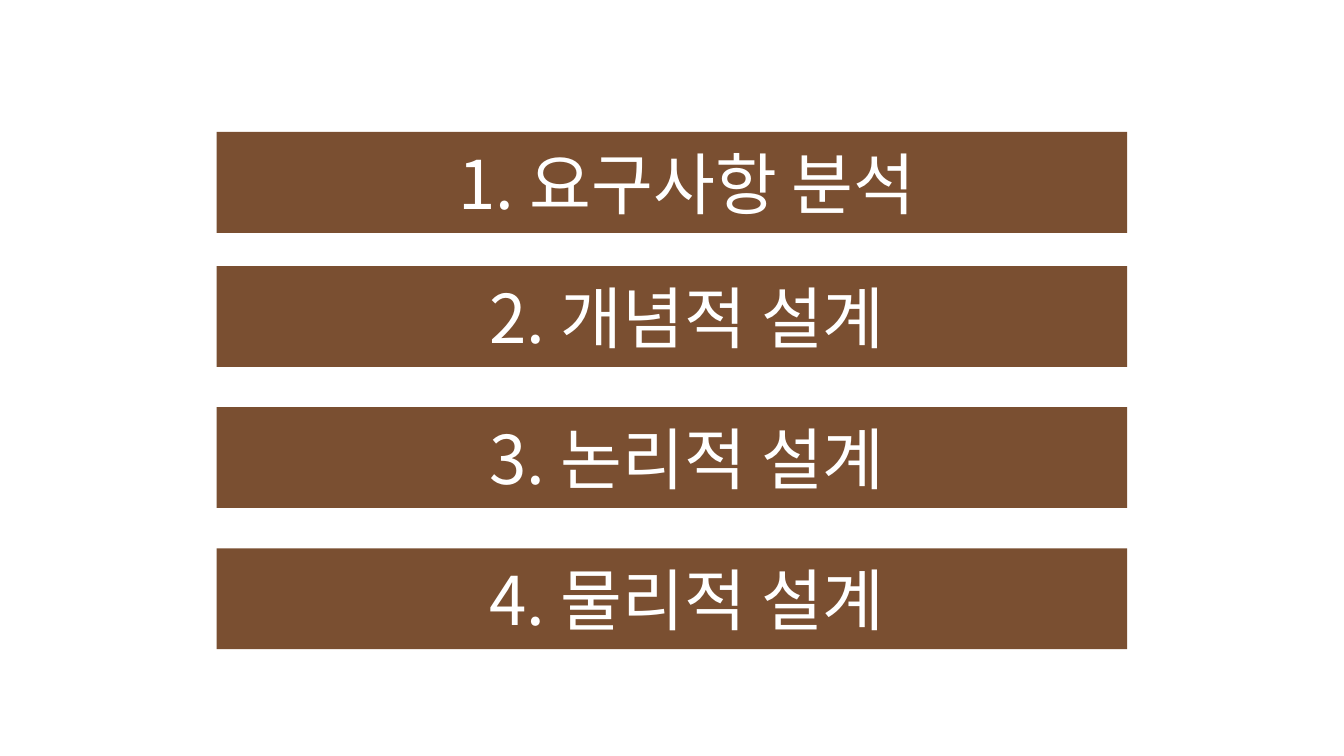
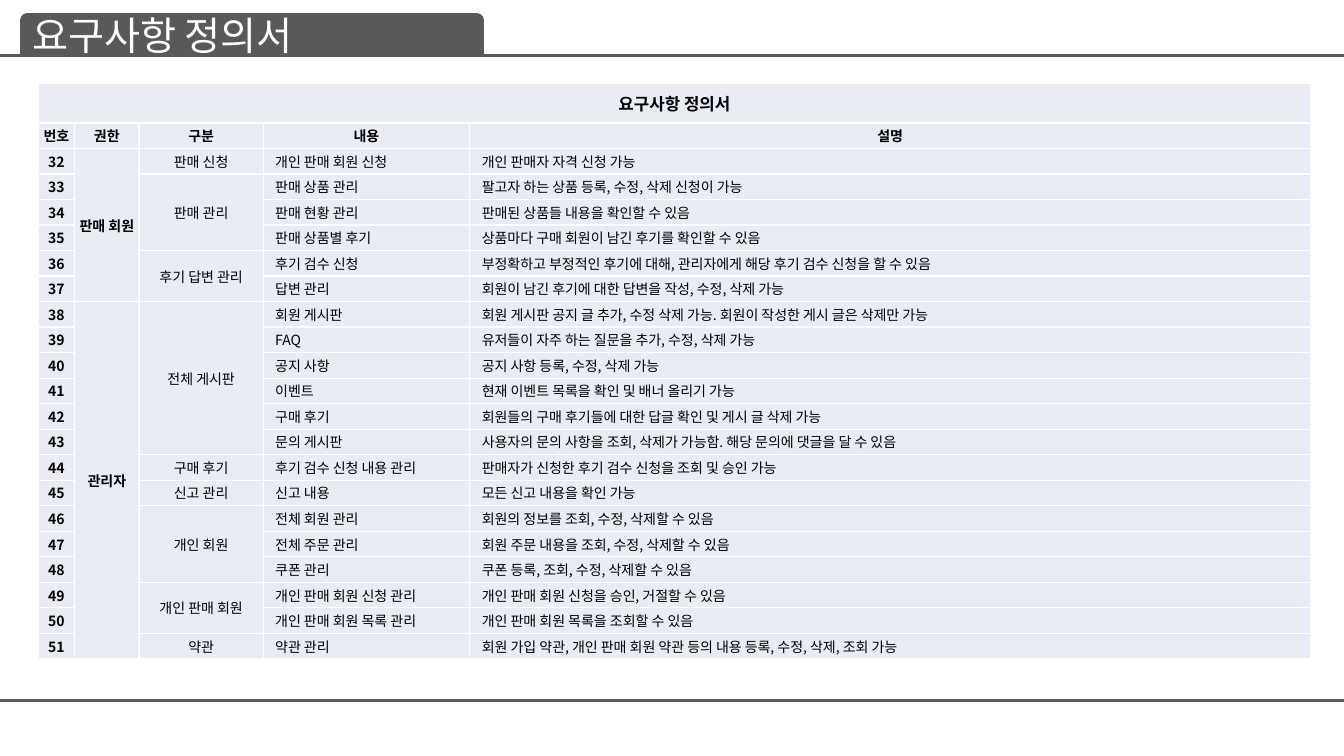
from dataclasses import dataclass

from lxml import etree
from pptx import Presentation
from pptx.dml.color import RGBColor
from pptx.enum.shapes import MSO_CONNECTOR, MSO_SHAPE
from pptx.enum.text import MSO_ANCHOR, PP_ALIGN
from pptx.oxml.ns import qn
from pptx.util import Inches, Pt

FONT = "Noto Sans CJK KR"
WHITE = RGBColor(0xFF, 0xFF, 0xFF)
BLACK = RGBColor(0, 0, 0)
BROWN = RGBColor(0x60, 0x2C, 0x08)
GRAY = RGBColor(0x59, 0x59, 0x59)
PALE = RGBColor(0xE9, 0xEB, 0xF5)

LEFT, CENTER = PP_ALIGN.LEFT, PP_ALIGN.CENTER
MIDDLE = MSO_ANCHOR.MIDDLE
RECT, TAB = MSO_SHAPE.RECTANGLE, MSO_SHAPE.ROUND_2_SAME_RECTANGLE
STRAIGHT = MSO_CONNECTOR.STRAIGHT

SLIDE_W, SLIDE_H = 13.33, 7.5
COLUMNS = (0.36, 0.64, 1.23, 2.05, 8.34)
TABLE_LEFT, TABLE_TOP, TABLE_H = 0.38, 0.83, 5.71
TITLE_ROW_H = 0.39
CELL_INDENT = 0.12
FIRST_NUMBER = 32


@dataclass(frozen=True)
class Step:
    text: str
    top: float


@dataclass(frozen=True)
class Category:
    name: str
    items: tuple[tuple[str, str], ...]


@dataclass(frozen=True)
class Role:
    name: str
    categories: tuple[Category, ...]


STEPS = (
    Step("1. 요구사항 분석", 1.31),
    Step("2. 개념적 설계", 2.64),
    Step("3. 논리적 설계", 4.04),
    Step("4. 물리적 설계", 5.44),
)

HEADERS = ("번호", "권한", "구분", "내용", "설명")

ROLES = (
    Role("판매 회원", (
        Category("판매 신청", (
            ("개인 판매 회원 신청", "개인 판매자 자격 신청 가능"),
        )),
        Category("판매 관리", (
            ("판매 상품 관리", "팔고자 하는 상품 등록, 수정, 삭제 신청이 가능"),
            ("판매 현황 관리", "판매된 상품들 내용을 확인할 수 있음"),
            ("판매 상품별 후기", "상품마다 구매 회원이 남긴 후기를 확인할 수 있음"),
        )),
        Category("후기 답변 관리", (
            ("후기 검수 신청",
             "부정확하고 부정적인 후기에 대해, 관리자에게 해당 후기 검수 신청을 할 수 있음"),
            ("답변 관리", "회원이 남긴 후기에 대한 답변을 작성, 수정, 삭제 가능"),
        )),
    )),
    Role("관리자", (
        Category("전체 게시판", (
            ("회원 게시판",
             "회원 게시판 공지 글 추가, 수정 삭제 가능. 회원이 작성한 게시 글은 삭제만 가능"),
            ("FAQ", "유저들이 자주 하는 질문을 추가, 수정, 삭제 가능"),
            ("공지 사항", "공지 사항 등록, 수정, 삭제 가능"),
            ("이벤트", "현재 이벤트 목록을 확인 및 배너 올리기 가능"),
            ("구매 후기", "회원들의 구매 후기들에 대한 답글 확인 및 게시 글 삭제 가능"),
            ("문의 게시판",
             "사용자의 문의 사항을 조회, 삭제가 가능함. 해당 문의에 댓글을 달 수 있음"),
        )),
        Category("구매 후기", (
            ("후기 검수 신청 내용 관리", "판매자가 신청한 후기 검수 신청을 조회 및 승인 가능"),
        )),
        Category("신고 관리", (
            ("신고 내용", "모든 신고 내용을 확인 가능"),
        )),
        Category("개인 회원", (
            ("전체 회원 관리", "회원의 정보를 조회, 수정, 삭제할 수 있음"),
            ("전체 주문 관리", "회원 주문 내용을 조회, 수정, 삭제할 수 있음"),
            ("쿠폰 관리", "쿠폰 등록, 조회, 수정, 삭제할 수 있음"),
        )),
        Category("개인 판매 회원", (
            ("개인 판매 회원 신청 관리", "개인 판매 회원 신청을 승인, 거절할 수 있음"),
            ("개인 판매 회원 목록 관리", "개인 판매 회원 목록을 조회할 수 있음"),
        )),
        Category("약관", (
            ("약관 관리",
             "회원 가입 약관, 개인 판매 회원 약관 등의 내용 등록, 수정, 삭제, 조회 가능"),
        )),
    )),
)


def write(tf, text: str, *, size: float, color: RGBColor = BLACK,
          bold: bool = False, align=LEFT) -> None:
    p = tf.paragraphs[0]
    p.alignment = align
    r = p.add_run()
    r.text = text
    r.font.name = FONT
    r.font.size = Pt(size)
    r.font.bold = bold
    r.font.color.rgb = color
    etree.SubElement(r.font._element, qn("a:ea"), typeface=FONT)


def add_block(slide, kind, left: float, top: float, width: float, height: float,
              fill: RGBColor):
    sp = slide.shapes.add_shape(kind, Inches(left), Inches(top),
                                Inches(width), Inches(height))
    sp.shadow.inherit = False
    sp.fill.solid()
    sp.fill.fore_color.rgb = fill
    sp.line.fill.background()
    sp.text_frame.vertical_anchor = MIDDLE
    return sp


def set_opacity(sp, percent: int) -> None:
    color = sp._element.spPr.find(qn("a:solidFill"))[0]
    etree.SubElement(color, qn("a:alpha"), val=str(percent * 1000))


def add_rule(slide, y: float) -> None:
    """Draw a horizontal line across the slide."""
    line = slide.shapes.add_connector(STRAIGHT, 0, Inches(y), Inches(SLIDE_W), Inches(y))
    line.line.color.rgb = GRAY
    line.line.width = Pt(2.25)
    etree.SubElement(line._element.spPr, qn("a:effectLst"))


def add_title_frame(slide, title: str) -> None:
    for y in (0.55, 6.95):
        add_rule(slide, y)
    sp = add_block(slide, TAB, 0.2, 0.13, 4.6, 0.42, GRAY)
    write(sp.text_frame, title, size=28, color=WHITE)


def style_cell(cell) -> None:
    tc_pr = cell._tc.get_or_add_tcPr()
    for side in ("lnL", "lnR", "lnT", "lnB"):
        ln = etree.SubElement(tc_pr, qn(f"a:{side}"), w=str(Pt(1)))
        fill = etree.SubElement(ln, qn("a:solidFill"))
        etree.SubElement(fill, qn("a:srgbClr"), val=str(WHITE))
    cell.fill.solid()
    cell.fill.fore_color.rgb = PALE
    cell.vertical_anchor = MIDDLE
    cell.margin_left = cell.margin_right = cell.margin_top = cell.margin_bottom = 0


def fill_cell(cell, text: str, *, size: float = 10, bold: bool = False,
              align=CENTER) -> None:
    if align == LEFT:
        cell.margin_left = Inches(CELL_INDENT)
    write(cell.text_frame, text, size=size, bold=bold, align=align)


def merge_down(table, row: int, col: int, count: int):
    cell = table.cell(row, col)
    if count > 1:
        cell.merge(table.cell(row + count - 1, col))
    return cell


def add_requirements(slide, title: str, roles: tuple[Role, ...]) -> None:
    item_count = sum(len(c.items) for role in roles for c in role.categories)
    row_count = item_count + 2
    table = slide.shapes.add_table(
        row_count, len(COLUMNS), Inches(TABLE_LEFT), Inches(TABLE_TOP),
        Inches(sum(COLUMNS)), Inches(TABLE_H)).table
    table.first_row = table.horz_banding = False
    for column, width in zip(table.columns, COLUMNS):
        column.width = Inches(width)
    row_h = (TABLE_H - TITLE_ROW_H) / (row_count - 1)
    for i, table_row in enumerate(table.rows):
        table_row.height = Inches(row_h if i else TITLE_ROW_H)
    for cell in table.iter_cells():
        style_cell(cell)

    table.cell(0, 0).merge(table.cell(0, len(COLUMNS) - 1))
    fill_cell(table.cell(0, 0), title, size=12, bold=True)
    for col, header in enumerate(HEADERS):
        fill_cell(table.cell(1, col), header, bold=True)

    row = 2
    for role in roles:
        role_rows = sum(len(c.items) for c in role.categories)
        fill_cell(merge_down(table, row, 1, role_rows), role.name, bold=True)
        for category in role.categories:
            fill_cell(merge_down(table, row, 2, len(category.items)), category.name)
            for content, description in category.items:
                fill_cell(table.cell(row, 0), str(FIRST_NUMBER + row - 2), bold=True)
                fill_cell(table.cell(row, 3), content, align=LEFT)
                fill_cell(table.cell(row, 4), description, align=LEFT)
                row += 1


def build_steps(slide) -> None:
    for step in STEPS:
        sp = add_block(slide, RECT, 2.15, step.top, 9.03, 1, BROWN)
        set_opacity(sp, 83)
        sp.text_frame.margin_left = Inches(0.4)
        write(sp.text_frame, step.text, size=48, color=WHITE, align=CENTER)


def build_requirements(slide) -> None:
    title = "요구사항 정의서"
    add_title_frame(slide, title)
    add_requirements(slide, title, ROLES)


def main() -> None:
    prs = Presentation()
    prs.slide_width, prs.slide_height = Inches(SLIDE_W), Inches(SLIDE_H)
    for build in (build_steps, build_requirements):
        build(prs.slides.add_slide(prs.slide_layouts[6]))
    prs.save("out.pptx")


if __name__ == "__main__":
    main()
